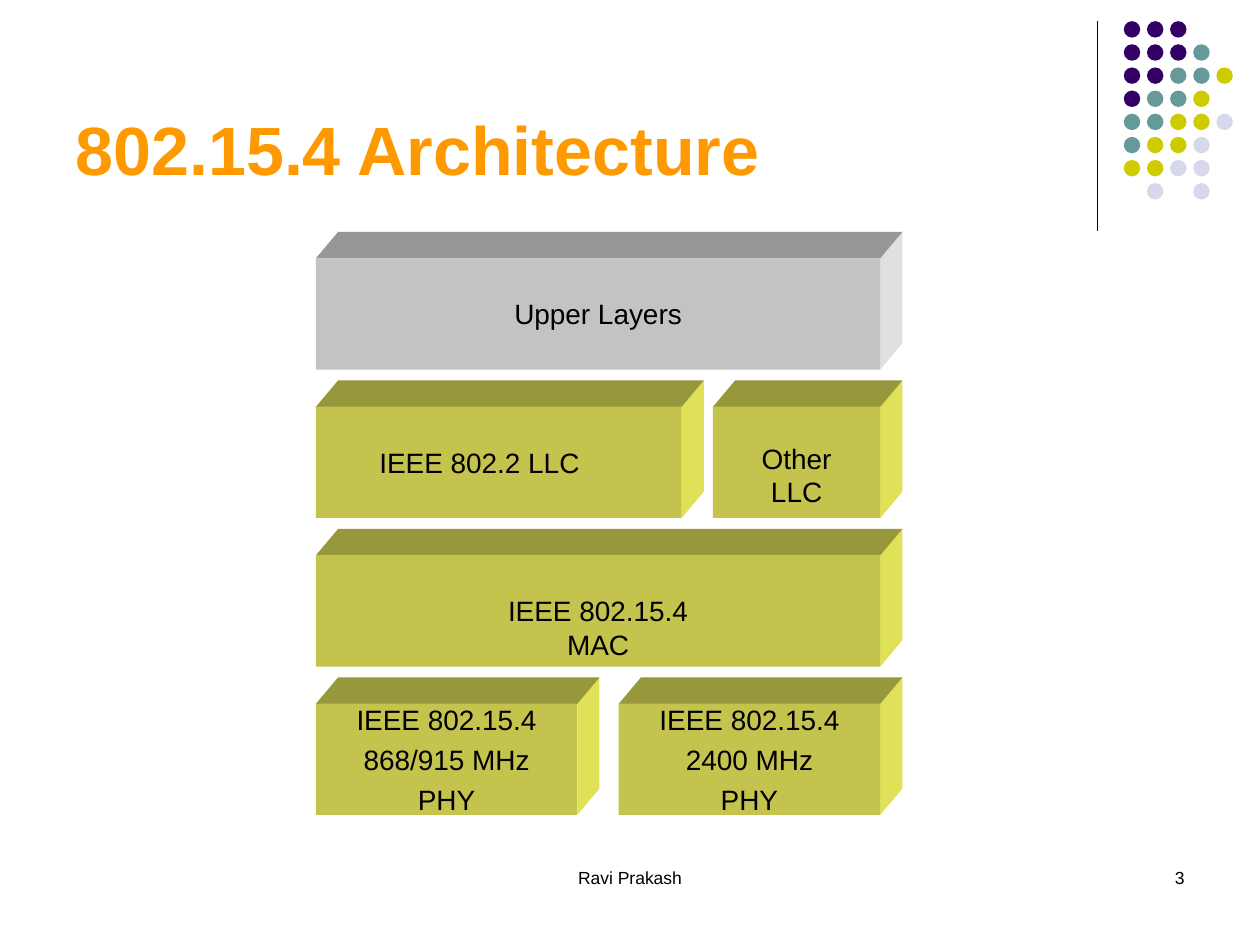
from lxml import etree
from pptx import Presentation
from pptx.dml.color import RGBColor
from pptx.enum.shapes import MSO_CONNECTOR, MSO_SHAPE
from pptx.enum.text import MSO_ANCHOR, PP_ALIGN
from pptx.oxml.ns import qn
from pptx.util import Pt

STRAIGHT = MSO_CONNECTOR.STRAIGHT
RECTANGLE, OVAL = MSO_SHAPE.RECTANGLE, MSO_SHAPE.OVAL
LEFT, CENTER, RIGHT = PP_ALIGN.LEFT, PP_ALIGN.CENTER, PP_ALIGN.RIGHT
TOP, BOTTOM = MSO_ANCHOR.TOP, MSO_ANCHOR.BOTTOM

BLACK, ORANGE = "000000", "FF9900"
# Front, top and side face
GRAY = ("C3C3C3", "979797", "E0E0E0")
OLIVE = ("C3C34E", "97973C", "E0E059")

DOT_COLORS = {"P": "330066", "T": "669999", "Y": "CCCC00", "L": "D8D8EC"}
DOT_ROWS = ["PPP", "PPPT", "PPTTY", "PTTY", "TTYYL", "TYYL", "YYLL", " L L"]
DOT_LEFT, DOT_TOP, DOT_PITCH, DOT_SIZE = 642.2, 12.1, 13.22, 9.4

STACK_LEFT, STACK_RIGHT, STACK_TOP = 180.5, 503, 132.5
ROW_PITCH, FRONT_HEIGHT = 84.85, 63.6
DEPTH_X, DEPTH_Y = 12.7, 15.1
PHY_WIDTH, LINE_PITCH, LABEL_HEIGHT = 149.4, 22.65, 19.4


def paint(shape, color):
    shape.fill.solid()
    shape.fill.fore_color.rgb = RGBColor.from_string(color)
    shape.line.fill.background()
    shape.shadow.inherit = False


def add_preset(slide, kind, left, top, width, height, color):
    paint(slide.shapes.add_shape(kind, Pt(left), Pt(top), Pt(width), Pt(height)), color)


def add_polygon(slide, points, color):
    corners = [(Pt(x), Pt(y)) for x, y in points]
    outline = slide.shapes.build_freeform(*corners[0], scale=1.0)
    outline.add_line_segments(corners[1:], close=True)
    paint(outline.convert_to_shape(), color)


def add_text(slide, text, box, size, align, color=BLACK, bold=False,
             anchor=TOP, wrap=True, margins=(7.2, 3.6)):
    frame = slide.shapes.add_textbox(*(Pt(value) for value in box)).text_frame
    frame.word_wrap = wrap
    frame.vertical_anchor = anchor
    frame.margin_left = frame.margin_right = Pt(margins[0])
    frame.margin_top = frame.margin_bottom = Pt(margins[1])
    paragraph = frame.paragraphs[0]
    paragraph.alignment = align
    run = paragraph.add_run()
    run.text = text
    run.font.name = "Arial"
    run.font.size = Pt(size)
    run.font.bold = bold
    run.font.color.rgb = RGBColor.from_string(color)


def add_divider(slide, x, top, bottom):
    divider = slide.shapes.add_connector(STRAIGHT, Pt(x), Pt(top), Pt(x), Pt(bottom))
    divider.line.color.rgb = RGBColor.from_string(BLACK)
    divider.line.width = Pt(0.75)
    etree.SubElement(divider._element.spPr, qn("a:effectLst"))


def add_dots(slide):
    for row, codes in enumerate(DOT_ROWS):
        for column, code in enumerate(codes):
            if code in DOT_COLORS:
                add_preset(slide, OVAL, DOT_LEFT + column * DOT_PITCH,
                           DOT_TOP + row * DOT_PITCH, DOT_SIZE, DOT_SIZE,
                           DOT_COLORS[code])


def add_block(slide, row, left, right, colors, labels, shift_x=0, shift_y=0):
    """Draw a layer as a solid box; labels are (text, width) lines on its front."""
    front, lid, side = colors
    back_top = STACK_TOP + row * ROW_PITCH
    top = back_top + DEPTH_Y
    bottom = top + FRONT_HEIGHT
    back_right = right + DEPTH_X
    add_polygon(slide, [(right, bottom), (right, top), (back_right, back_top),
                        (back_right, bottom - DEPTH_Y)], side)
    add_polygon(slide, [(right, top), (left, top), (left + DEPTH_X, back_top),
                        (back_right, back_top)], lid)
    add_preset(slide, RECTANGLE, left, top, right - left, FRONT_HEIGHT, front)

    center = (left + right) / 2 + shift_x
    middle = (top + bottom) / 2 + shift_y
    for index, (text, width) in enumerate(labels):
        line_middle = middle + (index - (len(labels) - 1) / 2) * LINE_PITCH
        box = (center - width / 2, line_middle - LABEL_HEIGHT / 2, width, LABEL_HEIGHT)
        add_text(slide, text, box, 16, CENTER, wrap=False, margins=(0, 0))


def add_phy_block(slide, left, band, band_width):
    labels = [("IEEE 802.15.4", 103), (band, band_width), ("PHY", 33)]
    add_block(slide, 3, left, left + PHY_WIDTH, OLIVE, labels)


def main():
    prs = Presentation()
    prs.slide_width, prs.slide_height = Pt(720), Pt(540)
    slide = prs.slides.add_slide(prs.slide_layouts[6])

    add_divider(slide, 627, 12, 132)
    add_dots(slide)
    add_text(slide, "Ravi Prakash", (246, 492, 228, 36), 10, CENTER)
    add_text(slide, "3", (516, 492, 168, 36), 10, RIGHT)
    add_text(slide, "802.15.4 Architecture", (36, 9.5, 594, 102), 39, LEFT,
             color=ORANGE, bold=True, anchor=BOTTOM)

    add_block(slide, 0, STACK_LEFT, STACK_RIGHT, GRAY, [("Upper Layers", 96)])
    add_block(slide, 1, STACK_LEFT, 389.5, OLIVE, [("IEEE 802.2 LLC", 114.5)],
              shift_x=-11)
    add_block(slide, 1, 407.4, STACK_RIGHT, OLIVE, [("Other LLC", 73.5)],
              shift_y=-2.4)
    add_block(slide, 2, STACK_LEFT, STACK_RIGHT, OLIVE, [("IEEE 802.15.4 MAC", 142.5)])
    add_phy_block(slide, STACK_LEFT, "868/915 MHz", 95)
    add_phy_block(slide, STACK_RIGHT - PHY_WIDTH, "2400 MHz", 73)

    prs.save("out.pptx")


if __name__ == "__main__":
    main()
